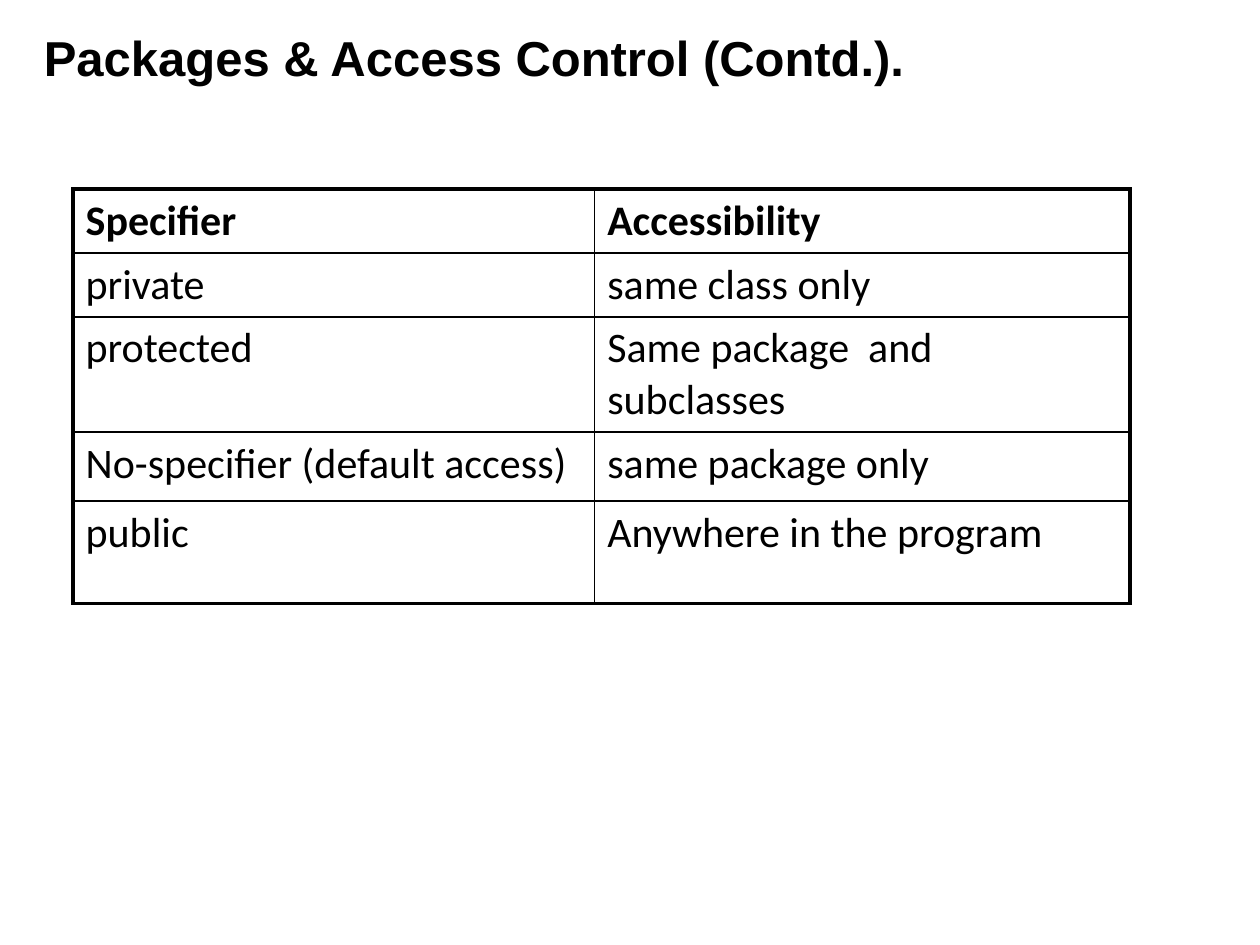
"""Build the slide on Java access specifiers."""
from dataclasses import dataclass

from lxml.etree import SubElement
from pptx import Presentation
from pptx.dml.color import RGBColor
from pptx.enum.text import MSO_ANCHOR
from pptx.oxml.ns import qn
from pptx.util import Inches, Pt

COLORS = {"ink": "000000"}
OUTER_LINE, INNER_LINE = 2.25, 1
COLUMN_WIDTHS = (4.14, 4.25)


@dataclass
class AccessRow:
    specifier: str
    accessibility: str
    height: float = 0.45
    bold: bool = False


ROWS = (
    AccessRow("Specifier", "Accessibility", bold=True),
    AccessRow("private", "same class only"),
    AccessRow("protected", "Same package  and subclasses"),
    AccessRow("No-specifier (default access)", "same package only", 0.55),
    AccessRow("public", "Anywhere in the program", 0.81),
)


def style_font(paragraph, name: str, size: float, bold: bool) -> None:
    """Set the font of a whole paragraph."""
    font = paragraph.font
    font.name, font.size, font.bold = name, Pt(size), bold
    font.color.rgb = RGBColor.from_string(COLORS["ink"])


def add_borders(cell, widths: dict[str, float]) -> None:
    """Draw solid cell borders, widths in points by side."""
    properties = cell._tc.get_or_add_tcPr()
    for position, (side, width) in enumerate(widths.items()):
        line = properties.makeelement(qn(f"a:ln{side}"), {"w": str(Pt(width))})
        fill = SubElement(line, qn("a:solidFill"))
        SubElement(fill, qn("a:srgbClr"), val=COLORS["ink"])
        properties.insert(position, line)


def add_title(slide, text: str) -> None:
    """Add the slide heading."""
    shape = slide.shapes.add_textbox(Inches(0.25), Inches(0.17), Inches(8.02), Inches(0.57))
    frame = shape.text_frame
    frame.word_wrap = True
    frame.vertical_anchor = MSO_ANCHOR.MIDDLE
    frame.text = text
    style_font(frame.paragraphs[0], "Arial", 28, True)


def add_access_table(slide, rows: tuple[AccessRow, ...]) -> None:
    """Add the table with heavy outer and thin inner borders."""
    shape = slide.shapes.add_table(
        len(rows), len(COLUMN_WIDTHS), Inches(0.58), Inches(1.5),
        Inches(sum(COLUMN_WIDTHS)), Inches(sum(row.height for row in rows)))
    table = shape.table
    table.first_row = table.horz_banding = False
    for column, width in zip(table.columns, COLUMN_WIDTHS):
        column.width = Inches(width)
    last_row, last_column = len(rows) - 1, len(COLUMN_WIDTHS) - 1
    for row_index, row in enumerate(rows):
        table.rows[row_index].height = Inches(row.height)
        for column_index, text in enumerate((row.specifier, row.accessibility)):
            cell = table.cell(row_index, column_index)
            cell.text = text
            cell.fill.background()
            style_font(cell.text_frame.paragraphs[0], "Calibri", 24, row.bold)
            outer_sides = {
                "L": column_index == 0, "R": column_index == last_column,
                "T": row_index == 0, "B": row_index == last_row,
            }
            add_borders(cell, {side: OUTER_LINE if outer else INNER_LINE
                               for side, outer in outer_sides.items()})


def main() -> None:
    """Create and save the presentation."""
    presentation = Presentation()
    presentation.slide_width, presentation.slide_height = Inches(10), Inches(7.5)
    slide = presentation.slides.add_slide(presentation.slide_layouts[6])
    add_access_table(slide, ROWS)
    add_title(slide, "Packages & Access Control (Contd.).")
    presentation.save("out.pptx")


main()
